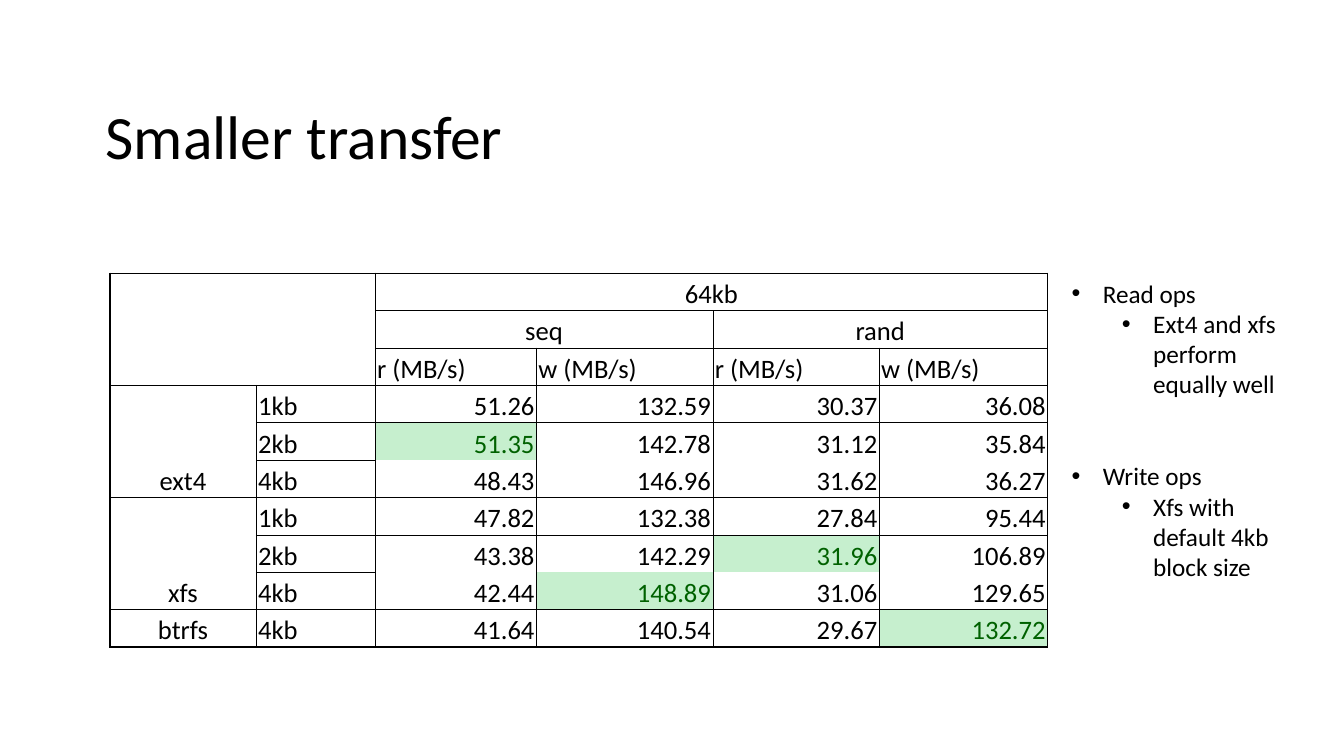
from itertools import product

from lxml.etree import SubElement
from pptx import Presentation
from pptx.dml.color import RGBColor as RGB
from pptx.enum.text import MSO_ANCHOR as Anchor, PP_ALIGN as Align
from pptx.oxml.ns import qn
from pptx.util import Inches, Pt

# Content
TITLE = "Smaller transfer"
TRANSFER_SIZE = "64kb"
PATTERNS = ["seq", "rand"]
MEASURES = ["r (MB/s)", "w (MB/s)"]
RESULTS = {
    "ext4": [("1kb", 51.26, 132.59, 30.37, 36.08),
             ("2kb", 51.35, 142.78, 31.12, 35.84),
             ("4kb", 48.43, 146.96, 31.62, 36.27)],
    "xfs": [("1kb", 47.82, 132.38, 27.84, 95.44),
            ("2kb", 43.38, 142.29, 31.96, 106.89),
            ("4kb", 42.44, 148.89, 31.06, 129.65)],
    "btrfs": [("4kb", 41.64, 140.54, 29.67, 132.72)],
}
FINDINGS = [
    ("Read ops", "Ext4 and xfs perform equally well"),
    ("Write ops", "Xfs with default 4kb block size"),
]

THEME = {
    "font": "Calibri", "text": RGB(0, 0, 0), "border": "000000",
    "best_text": RGB(0x00, 0x61, 0x00), "best_fill": RGB(0xC6, 0xEF, 0xCE),
    "title": Pt(44), "table": Pt(19), "findings": Pt(18),
    "inner_line": Pt(0.5), "outer_line": Pt(1),
}
NO_STYLE = "{2D5ABB26-0587-4C30-8999-92F81FD0307C}"

# Table layout
COLUMN_WIDTHS = [1.45, 1.18, 1.6, 1.75, 1.65, 1.67]
ROW_HEIGHT = 0.371
HEADER_ROWS, LABEL_COLUMNS = 3, 2
ROW_COUNT = HEADER_ROWS + sum(map(len, RESULTS.values()))
COLUMN_COUNT = len(COLUMN_WIDTHS)


def set_font(paragraph, size, color=THEME["text"]):
    font = paragraph.font
    font.name, font.size, font.color.rgb = THEME["font"], size, color


def write_cell(row, column, text, align=Align.LEFT, best=False):
    cell = table.cell(row, column)
    cell.text = text
    paragraph = cell.text_frame.paragraphs[0]
    paragraph.alignment = align
    set_font(paragraph, THEME["table"], THEME["best_text" if best else "text"])
    if best:
        cell.fill.solid()
        cell.fill.fore_color.rgb = THEME["best_fill"]


def outline(top, left, height=1, width=1, merged=False):
    """Frame a block of cells, heavier along the edge of the table."""
    bottom, right = top + height - 1, left + width - 1
    if merged:
        table.cell(top, left).merge(table.cell(bottom, right))
    for row, column in product(range(top, bottom + 1), range(left, right + 1)):
        edges = [
            ("a:lnL", column == left, column == 0),
            ("a:lnR", column == right, right == COLUMN_COUNT - 1),
            ("a:lnT", row == top, row == 0),
            ("a:lnB", row == bottom, bottom == ROW_COUNT - 1),
        ]
        properties = table.cell(row, column)._tc.get_or_add_tcPr()
        for tag, on_block_edge, on_table_edge in edges:
            if merged or on_block_edge:
                weight = THEME["outer_line" if on_table_edge else "inner_line"]
                line = SubElement(properties, qn(tag), w=str(weight))
                fill = SubElement(line, qn("a:solidFill"))
                SubElement(fill, qn("a:srgbClr"), val=THEME["border"])


prs = Presentation()
prs.slide_width, prs.slide_height = Inches(13.33), Inches(7.5)
slide = prs.slides.add_slide(prs.slide_layouts[6])

# Title
title = slide.shapes.add_textbox(
    Inches(0.95), Inches(0.66), Inches(11.43), Inches(1.45)).text_frame
title.word_wrap = True
title.vertical_anchor = Anchor.MIDDLE
title.text = TITLE
title.paragraphs[0].line_spacing = 0.9
set_font(title.paragraphs[0], THEME["title"])

# Empty table
table = slide.shapes.add_table(
    ROW_COUNT, COLUMN_COUNT, Inches(1.09), Inches(2.71),
    Inches(sum(COLUMN_WIDTHS)), Inches(ROW_HEIGHT * ROW_COUNT)).table
table.first_row = table.horz_banding = False
table._tbl.tblPr.find(qn("a:tableStyleId")).text = NO_STYLE
for column, width in zip(table.columns, COLUMN_WIDTHS):
    column.width = Inches(width)
for row in table.rows:
    row.height = Inches(ROW_HEIGHT)
for cell in table.iter_cells():
    cell.margin_left = cell.margin_right = cell.margin_top = Inches(0.02)
    cell.margin_bottom = 0
    cell.vertical_anchor = Anchor.BOTTOM
    set_font(cell.text_frame.paragraphs[0], THEME["table"])

# Column headings
outline(0, 0, HEADER_ROWS, LABEL_COLUMNS)
outline(0, LABEL_COLUMNS, 1, COLUMN_COUNT - LABEL_COLUMNS, merged=True)
write_cell(0, LABEL_COLUMNS, TRANSFER_SIZE, Align.CENTER)
pattern_columns = range(LABEL_COLUMNS, COLUMN_COUNT, len(MEASURES))
for pattern, first_column in zip(PATTERNS, pattern_columns):
    outline(1, first_column, 1, len(MEASURES), merged=True)
    write_cell(1, first_column, pattern, Align.CENTER)
    for column, measure in enumerate(MEASURES, first_column):
        outline(2, column)
        write_cell(2, column, measure)

# Results, with the fastest of each column highlighted
every_run = [run for runs in RESULTS.values() for run in runs]
best_speeds = [max(speeds) for speeds in list(zip(*every_run))[1:]]
first_row = HEADER_ROWS
for filesystem, runs in RESULTS.items():
    outline(first_row, 0, len(runs), merged=len(runs) > 1)
    write_cell(first_row, 0, filesystem, Align.CENTER)
    for first_column in pattern_columns:
        outline(first_row, first_column, len(runs), len(MEASURES))
    for row, (block_size, *speeds) in enumerate(runs, first_row):
        outline(row, 1)
        write_cell(row, 1, block_size)
        for column, (speed, best) in enumerate(zip(speeds, best_speeds), LABEL_COLUMNS):
            write_cell(row, column, f"{speed:.2f}", Align.RIGHT, speed == best)
    first_row += len(runs)

# Findings
findings = slide.shapes.add_textbox(
    Inches(10.53), Inches(2.71), Inches(2.53), Inches(3.13)).text_frame
findings.word_wrap = True
for index, finding in enumerate(FINDINGS):
    for level, text in enumerate(finding):
        first = index == level == 0
        paragraph = findings.paragraphs[0] if first else findings.add_paragraph()
        paragraph.text = text
        paragraph.level = level
        if index and level == 0:
            paragraph.space_before = Pt(44)
        properties = paragraph._p.get_or_add_pPr()
        properties.set("marL", str(Inches(0.31 + 0.5 * level)))
        properties.set("indent", str(Inches(-0.31)))
        SubElement(properties, qn("a:buFont"), typeface="Arial")
        SubElement(properties, qn("a:buChar"), char="•")
        set_font(paragraph, THEME["findings"])

prs.save("out.pptx")
